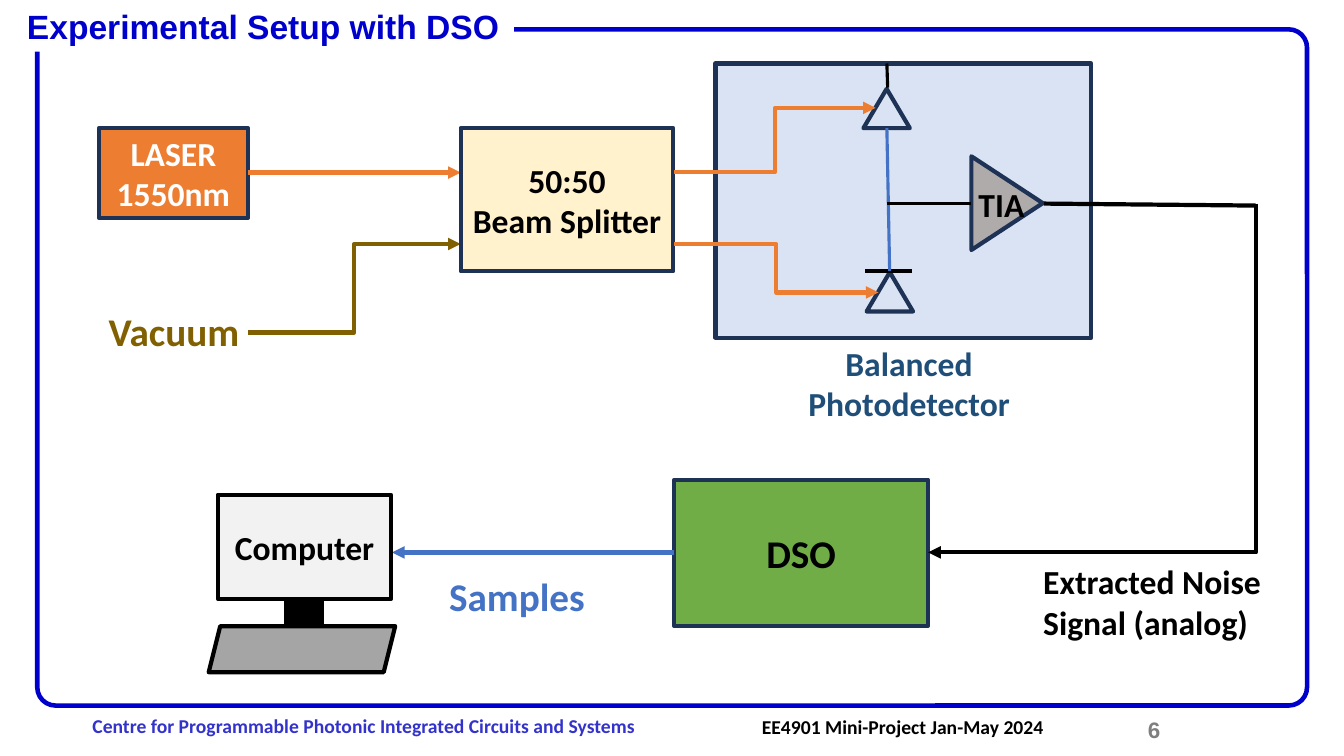
from dataclasses import dataclass

import pptx
import pptx.dml.color
import pptx.enum.shapes
import pptx.enum.text
import pptx.oxml
import pptx.oxml.ns
import pptx.util

Cm = pptx.util.Cm
SHAPE = pptx.enum.shapes.MSO_SHAPE
CONNECTOR = pptx.enum.shapes.MSO_CONNECTOR
ALIGN = pptx.enum.text.PP_ALIGN
ANCHOR = pptx.enum.text.MSO_ANCHOR


@dataclass(frozen=True)
class Theme:
    body_font: str = "Calibri"
    head_font: str = "Arial"
    foot: int = 14
    page: int = 16
    label: int = 24
    large: int = 28
    thin: float = 2.25
    thick: float = 3
    border: float = 3.25
    blue: str = "0000CC"
    foot_blue: str = "3333CC"
    gray: str = "7F7F7F"
    outline: str = "1E3256"
    orange: str = "ED7D31"
    cream: str = "FFF2CC"
    pale_blue: str = "DAE3F3"
    caption: str = "1F4E79"
    olive: str = "806000"
    wire_blue: str = "4472C4"
    green: str = "70AD47"
    amplifier: str = "AFABAB"
    screen: str = "F2F2F2"
    keyboard: str = "A5A5A5"
    black: str = "000000"
    white: str = "FFFFFF"


T = Theme()


def rgb(value):
    return pptx.dml.color.RGBColor.from_string(value)


def write(shape, lines, size, color, font=T.body_font, align=ALIGN.LEFT,
          anchor=ANCHOR.TOP, wrap=False):
    frame = shape.text_frame
    frame.word_wrap = wrap
    frame.vertical_anchor = anchor
    for i, line in enumerate(lines):
        paragraph = frame.paragraphs[0] if i == 0 else frame.add_paragraph()
        paragraph.alignment = align
        run = paragraph.add_run()
        run.text = line
        run.font.name = font
        run.font.size = pptx.util.Pt(size)
        run.font.bold = True
        run.font.color.rgb = rgb(color)


def label(slide, box, lines, size, color, **style):
    text_box = slide.shapes.add_textbox(*map(Cm, box))
    write(text_box, lines, size, color, **style)
    return text_box


def block(slide, kind, box, fill=None, line=T.outline, width=T.thick):
    shape = slide.shapes.add_shape(kind, *map(Cm, box))
    shape.shadow.inherit = False
    if fill:
        shape.fill.solid()
        shape.fill.fore_color.rgb = rgb(fill)
    else:
        shape.fill.background()
    if line:
        shape.line.color.rgb = rgb(line)
        shape.line.width = pptx.util.Pt(width)
    else:
        shape.line.fill.background()
    return shape


def named_block(slide, box, lines, fill, color, size=T.label, line=T.outline):
    shape = block(slide, SHAPE.RECTANGLE, box, fill, line)
    write(shape, lines, size, color, align=ALIGN.CENTER, anchor=ANCHOR.MIDDLE, wrap=True)


def wire(slide, start, end, color, width=T.thick, arrow=False, kind=CONNECTOR.STRAIGHT):
    connector = slide.shapes.add_connector(kind, *map(Cm, (*start, *end)))
    connector.line.color.rgb = rgb(color)
    connector.line.width = pptx.util.Pt(width)
    if arrow:
        tail = pptx.oxml.parse_xml(
            f'<a:tailEnd {pptx.oxml.ns.nsdecls("a")} type="triangle"/>')
        connector.line._get_or_add_ln().append(tail)
    effects = pptx.oxml.parse_xml(f'<a:effectLst {pptx.oxml.ns.nsdecls("a")}/>')
    connector._element.spPr.append(effects)
    return connector


def corner_arrow(slide, start, end, color):
    """Arrow that runs down from start, then left to end: a quarter-turned elbow."""
    (x1, y1), (x2, y2) = start, end
    mid_x, mid_y = (x1 + x2) / 2, (y1 + y2) / 2
    half_w, half_h = (y2 - y1) / 2, (x1 - x2) / 2
    connector = wire(slide, (mid_x - half_w, mid_y - half_h),
                     (mid_x + half_w, mid_y + half_h), color, arrow=True)
    properties = connector._element.spPr
    properties.find(pptx.oxml.ns.qn("a:prstGeom")).set("prst", "bentConnector2")
    properties.find(pptx.oxml.ns.qn("a:xfrm")).set("rot", "5400000")


def page_frame(slide, x, y, w, h):
    border = block(slide, SHAPE.ROUNDED_RECTANGLE, (x, y, w, h),
                   line=T.blue, width=T.border)
    border.adjustments[0] = 0.027
    # Footer
    foot_y = y + h
    centre = label(slide, (x + 1.14, foot_y - 0.05, 17.53, 1.12),
                   ["Centre for Programmable Photonic Integrated Circuits and Systems"],
                   T.foot, T.foot_blue, wrap=True)
    centre.text_frame.margin_top = centre.text_frame.margin_bottom = Cm(0.25)
    label(slide, (x + 18.01, foot_y + 0.1, 9.19, 0.86),
          ["EE4901 Mini-Project Jan-May 2024"], T.foot, T.black, wrap=True)
    label(slide, (x + 27.74, foot_y + 0.13, 2.11, 1.02), ["6"],
          T.page, T.gray, font=T.head_font, wrap=True)


def title(slide, x, y, w, h):
    heading = block(slide, SHAPE.RECTANGLE, (x, y, w, h), T.white, line=None)
    write(heading, ["Experimental Setup with DSO"], T.label, T.blue, font=T.head_font)


def light_sources(slide, x, y, w, h):
    laser_w, right = 3.76, x + w
    named_block(slide, (x, y, laser_w, 2.26), ["LASER", "1550nm"], T.orange, T.white)
    wire(slide, (x + laser_w, y + 1.12), (right, y + 1.12), T.orange, arrow=True)
    label(slide, (x, y + h - 1.45, 3.84, 1.45), ["Vacuum"], T.large, T.olive)
    wire(slide, (x + laser_w, y + 5.15), (right, y + 2.92), T.olive,
         arrow=True, kind=CONNECTOR.ELBOW)


def balanced_detector(slide, x, y, w, h):
    def at(dx, dy):
        return x + dx, y + dy

    block(slide, SHAPE.RECTANGLE, (x, y, w, h), T.pale_blue)
    # Photodiodes and amplifier
    for corner in (at(3.73, 0.64), at(3.81, 5.26)):
        block(slide, SHAPE.ISOSCELES_TRIANGLE, (*corner, 1.17, 0.99), T.pale_blue)
    amplifier = block(slide, SHAPE.ISOSCELES_TRIANGLE, (*at(6.17, 2.62), 2.36, 1.8),
                      T.amplifier)
    amplifier.rotation = 90
    # Inner wiring
    for start, end, color in (
            (at(3.78, 5.23), at(4.95, 5.23), T.black),
            (at(4.34, 0.61), at(4.32, 0), T.black),
            (at(4.39, 5.23), at(4.32, 1.63), T.wire_blue),
            (at(4.32, 3.53), at(6.45, 3.53), T.black)):
        wire(slide, start, end, color, T.thin)
    # Beams from the splitter
    for start, end in ((at(-1.04, 2.74), at(4.04, 1.12)),
                       (at(-1.04, 4.55), at(4.11, 5.77))):
        wire(slide, start, end, T.orange, arrow=True, kind=CONNECTOR.ELBOW)
    # Output and captions
    wire(slide, at(8.28, 3.53), at(13.61, 3.58), T.black)
    label(slide, (*at(6.38, 2.92), 1.68, 1.27), ["TIA"], T.label, T.black)
    label(slide, (*at(2.06, h), 5.64, 2.31), ["Balanced", "Photodetector"],
          T.label, T.caption, align=ALIGN.CENTER)


def oscilloscope(slide, x, y, w, h):
    middle = y + 1.83
    named_block(slide, (x, y, w, h), ["DSO"], T.green, T.black, T.large)
    corner_arrow(slide, (x + w + 8.26, y - 6.96), (x + w, middle), T.black)
    label(slide, (x + w + 2.65, y + 1.93, 6.07, 2.31),
          ["Extracted Noise", "Signal (analog)"], T.label, T.black)
    wire(slide, (x, middle), (x - 7.11, middle), T.wire_blue, arrow=True)
    label(slide, (x - 5.92, y + 2.21, 3.96, 1.45), ["Samples"], T.large, T.wire_blue)


def computer(slide, x, y, w, h):
    screen_h, stand_h = 2.62, 0.69
    named_block(slide, (x + 0.23, y, 4.37, screen_h), ["Computer"],
                T.screen, T.black, line=T.black)
    block(slide, SHAPE.RECTANGLE, (x + 1.95, y + screen_h, 0.91, stand_h),
          T.black, T.black)
    keys_y = screen_h + stand_h
    block(slide, SHAPE.PARALLELOGRAM, (x, y + keys_y, w, h - keys_y),
          T.keyboard, T.black)


def main():
    deck = pptx.Presentation()
    deck.slide_width, deck.slide_height = Cm(33.87), Cm(19.05)
    slide = deck.slides.add_slide(deck.slide_layouts[6])
    page_frame(slide, 0.94, 0.74, 32, 17.04)
    light_sources(slide, 2.49, 3.23, 9.12, 5.84)
    named_block(slide, (11.61, 3.23, 5.36, 3.61), ["50:50", "Beam Splitter"],
                T.cream, T.black)
    balanced_detector(slide, 18.03, 1.6, 9.47, 6.91)
    oscilloscope(slide, 16.99, 12.09, 6.4, 3.68)
    computer(slide, 5.26, 12.47, 4.7, 4.47)
    title(slide, 0.43, 0.03, 12.52, 1.27)
    deck.save("out.pptx")


if __name__ == "__main__":
    main()
